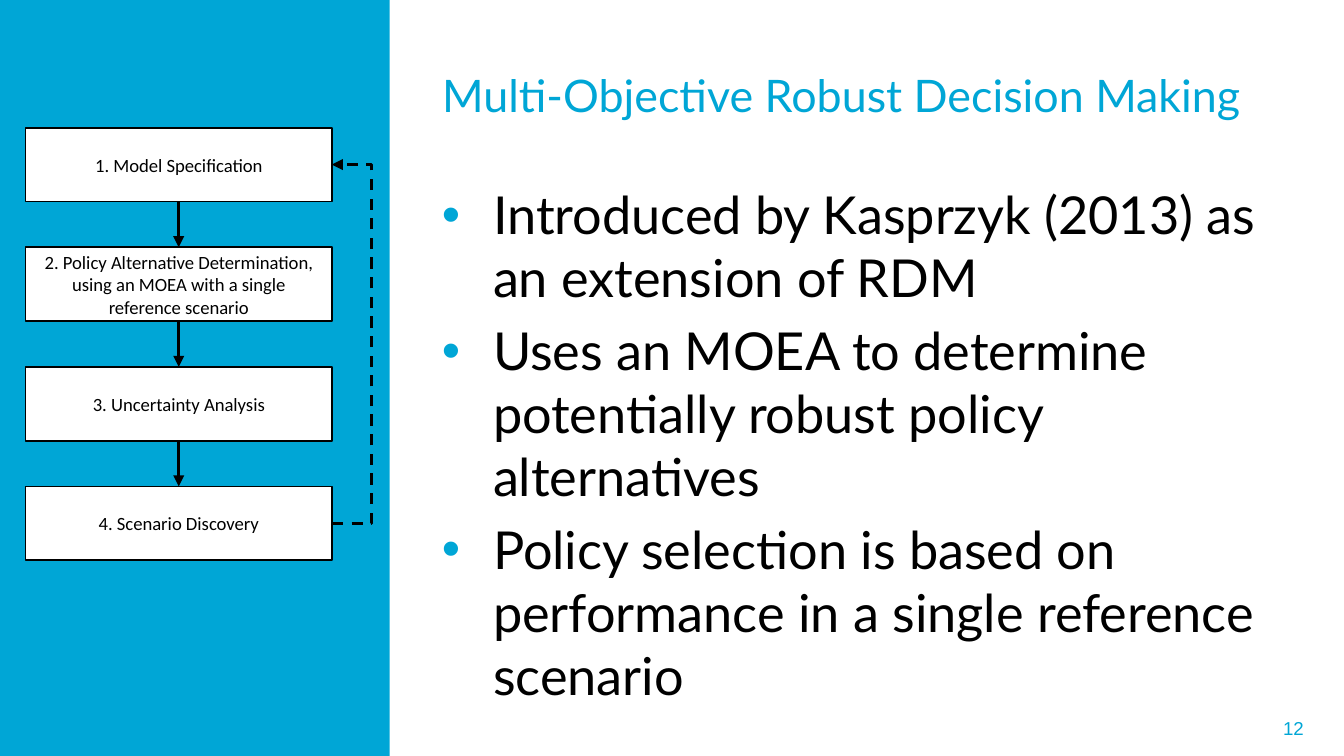
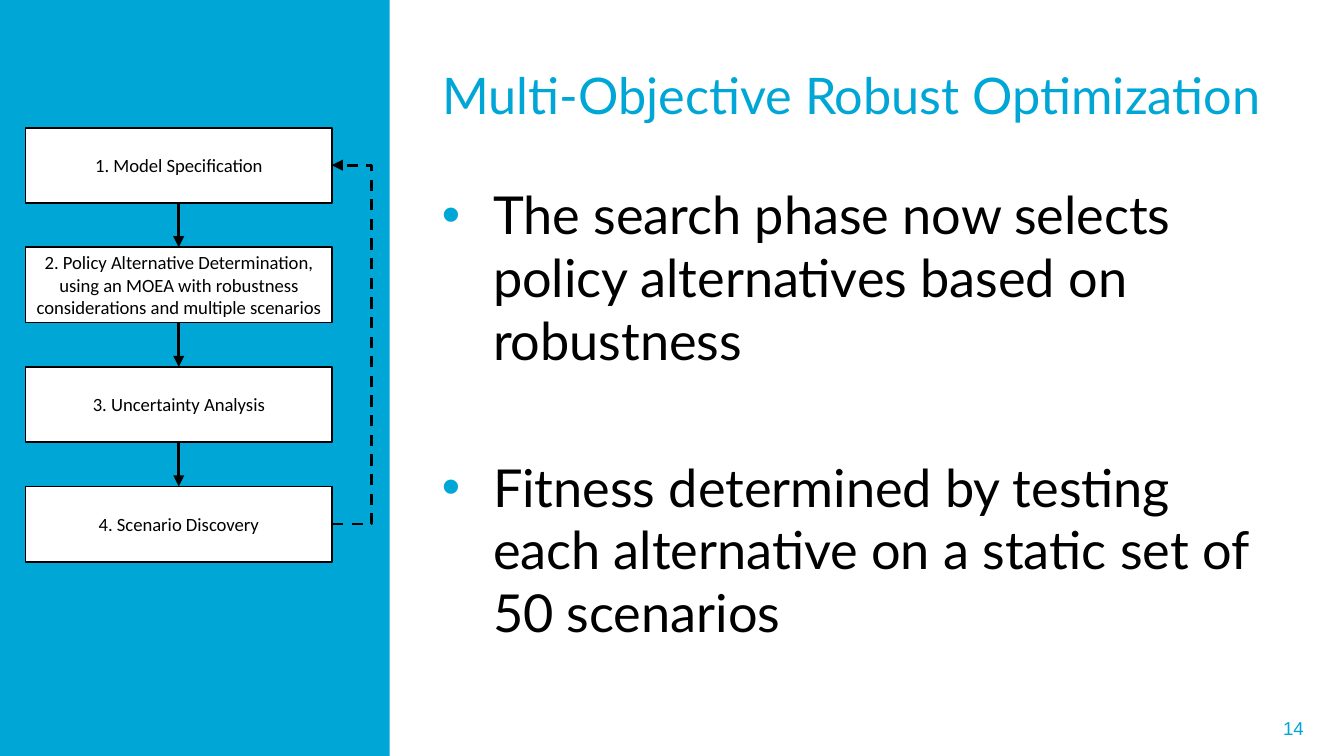
from itertools import pairwise

from lxml import etree
from pptx import Presentation
from pptx.dml.color import RGBColor
from pptx.enum.dml import MSO_LINE
from pptx.enum.shapes import MSO_CONNECTOR, MSO_SHAPE
from pptx.enum.text import MSO_ANCHOR, MSO_AUTO_SIZE, PP_ALIGN
from pptx.oxml.ns import qn
from pptx.util import Inches, Pt

RECT = MSO_SHAPE.RECTANGLE
LINE, ELBOW = MSO_CONNECTOR.STRAIGHT, MSO_CONNECTOR.ELBOW
DASH = MSO_LINE.DASH
MID, TOP = MSO_ANCHOR.MIDDLE, MSO_ANCHOR.TOP
LEFT, MEAN, RIGHT = PP_ALIGN.LEFT, PP_ALIGN.CENTER, PP_ALIGN.RIGHT

CYAN = RGBColor(0x00, 0xA6, 0xD6)
BLACK = RGBColor(0x00, 0x00, 0x00)
WHITE = RGBColor(0xFF, 0xFF, 0xFF)

SLIDES = [
    {
        "title": "Multi-Objective Robust Decision Making",
        "size": 24,
        "page": "12",
        "points": [
            "Introduced by Kasprzyk (2013) as an extension of RDM",
            "Uses an MOEA to determine potentially robust policy alternatives",
            "Policy selection is based on performance in a single reference scenario",
        ],
        "gap": 5.6,
        "search": "using an MOEA with a single\nreference scenario",
        "box": 0.55,
    },
    {
        "title": "Multi-Objective Robust Optimization",
        "size": 27,
        "page": "14",
        "points": [
            "The search phase now selects policy alternatives based on robustness",
            "Fitness determined by testing each alternative on a static set of 50 scenarios",
        ],
        "gap": 45,
        "search": "using an MOEA with robustness considerations and multiple scenarios",
        "box": 0.56,
    },
]
STEPS = [
    "1. Model Specification",
    "2. Policy Alternative Determination, {}",
    "3. Uncertainty Analysis",
    "4. Scenario Discovery",
]

WIDE = 10
HIGH = WIDE * 9 / 16
BANDS = [(0, 1.72), (1.48, 1.42)]  # left, width
TEXT_X, TEXT_W = 3.19, 6.51
BOX_X, BOX_Y, BOX_W, PITCH = 0.19, 0.95, 2.28, 0.89
LOOP, SLIM = 0.25, 0.001  # reach of the feedback line, width of its frame
INDENT = Inches(0.38)


def inch(*nums):
    return [Inches(n) for n in nums]


def style(item, **vals):
    for name, val in vals.items():
        setattr(item, name, val)


def write(frame, text, font, size, color, align=LEFT, anchor=MID):
    style(frame, text=text, word_wrap=True, vertical_anchor=anchor,
          auto_size=MSO_AUTO_SIZE.NONE)
    for para in frame.paragraphs:
        para.alignment = align
        style(para.font, name=font, size=Pt(size))
        para.font.color.rgb = color


def add_rect(slide, area, fill):
    rect = slide.shapes.add_shape(RECT, *inch(*area))
    rect.shadow.inherit = False
    rect.fill.solid()
    rect.fill.fore_color.rgb = fill
    rect.line.fill.background()
    return rect


def add_box(slide, text, top, high):
    box = add_rect(slide, (BOX_X, top, BOX_W, high), WHITE)
    box.line.color.rgb = BLACK
    box.line.width = Pt(1)
    side, edge = inch(0.06, 0.03)
    style(box.text_frame, margin_left=side, margin_right=side,
          margin_top=edge, margin_bottom=edge)
    write(box.text_frame, text, "Calibri", 10, BLACK, MEAN)
    return box


def join(slide, kind, start, end):
    """Draw an arrow between two (box, side) pairs."""
    link = slide.shapes.add_connector(kind, 0, 0, 0, 0)
    link.begin_connect(*start)
    link.end_connect(*end)
    link.line.color.rgb = BLACK
    link.line.width = Pt(1.5)
    etree.SubElement(link.line._get_or_add_ln(), qn("a:tailEnd"), type="triangle")
    etree.SubElement(link._element.spPr, qn("a:effectLst"))
    return link


def add_loop(slide, last, first):
    """Lead a dashed arrow back up, outside the right edge of the boxes."""
    link = join(slide, ELBOW, (last, 3), (first, 3))
    link.end_x = link.begin_x - Inches(SLIM)
    link.line.dash_style = DASH
    geom = link._element.spPr.find(qn("a:prstGeom"))
    guides = geom.find(qn("a:avLst"))
    if guides is None:
        guides = etree.SubElement(geom, qn("a:avLst"))
    bend = round(-LOOP / SLIM * 100000)
    etree.SubElement(guides, qn("a:gd"), name="adj1", fmla=f"val {bend}")


def add_flow(slide, search, high):
    boxes = [add_box(slide, step.format(search), BOX_Y + row * PITCH, high)
             for row, step in enumerate(STEPS)]
    for above, below in pairwise(boxes):
        join(slide, LINE, (above, 2), (below, 0))
    add_loop(slide, boxes[-1], boxes[0])


def add_points(slide, points, gap):
    body = slide.shapes.add_textbox(*inch(TEXT_X, 1.31, TEXT_W, 3.81))
    frame = body.text_frame
    frame.text = "\n".join(points)
    for row, para in enumerate(frame.paragraphs):
        props = para._p.get_or_add_pPr()
        props.set("marL", str(INDENT))
        props.set("indent", str(-INDENT))
        para.space_before = Pt(gap if row else 0)
        tint = etree.SubElement(props, qn("a:buClr"))
        etree.SubElement(tint, qn("a:srgbClr"), val=str(CYAN))
        etree.SubElement(props, qn("a:buFont"), typeface="Arial")
        etree.SubElement(props, qn("a:buChar"), char="•")
        style(para.font, name="Lato", size=Pt(28))
        para.font.color.rgb = BLACK
    style(frame, word_wrap=True, vertical_anchor=TOP)


def add_slide(deck, data):
    slide = deck.slides.add_slide(deck.slide_layouts[5])
    for left, width in BANDS:
        add_rect(slide, (left, 0, width, HIGH), CYAN)
    title = slide.shapes.title
    left, top, width, height = inch(TEXT_X, 0.23, TEXT_W, 0.94)
    style(title, left=left, top=top, width=width, height=height)
    write(title.text_frame, data["title"], "Lato", data["size"], CYAN)
    add_points(slide, data["points"], data["gap"])
    add_flow(slide, data["search"], data["box"])
    page = slide.shapes.add_textbox(*inch(7.27, 5.27, 2.53, 0.3))
    write(page.text_frame, data["page"], "Arial", 10, CYAN, RIGHT)


def main():
    deck = Presentation()
    deck.slide_width, deck.slide_height = inch(WIDE, HIGH)
    for data in SLIDES:
        add_slide(deck, data)
    deck.save("out.pptx")


if __name__ == "__main__":
    main()
